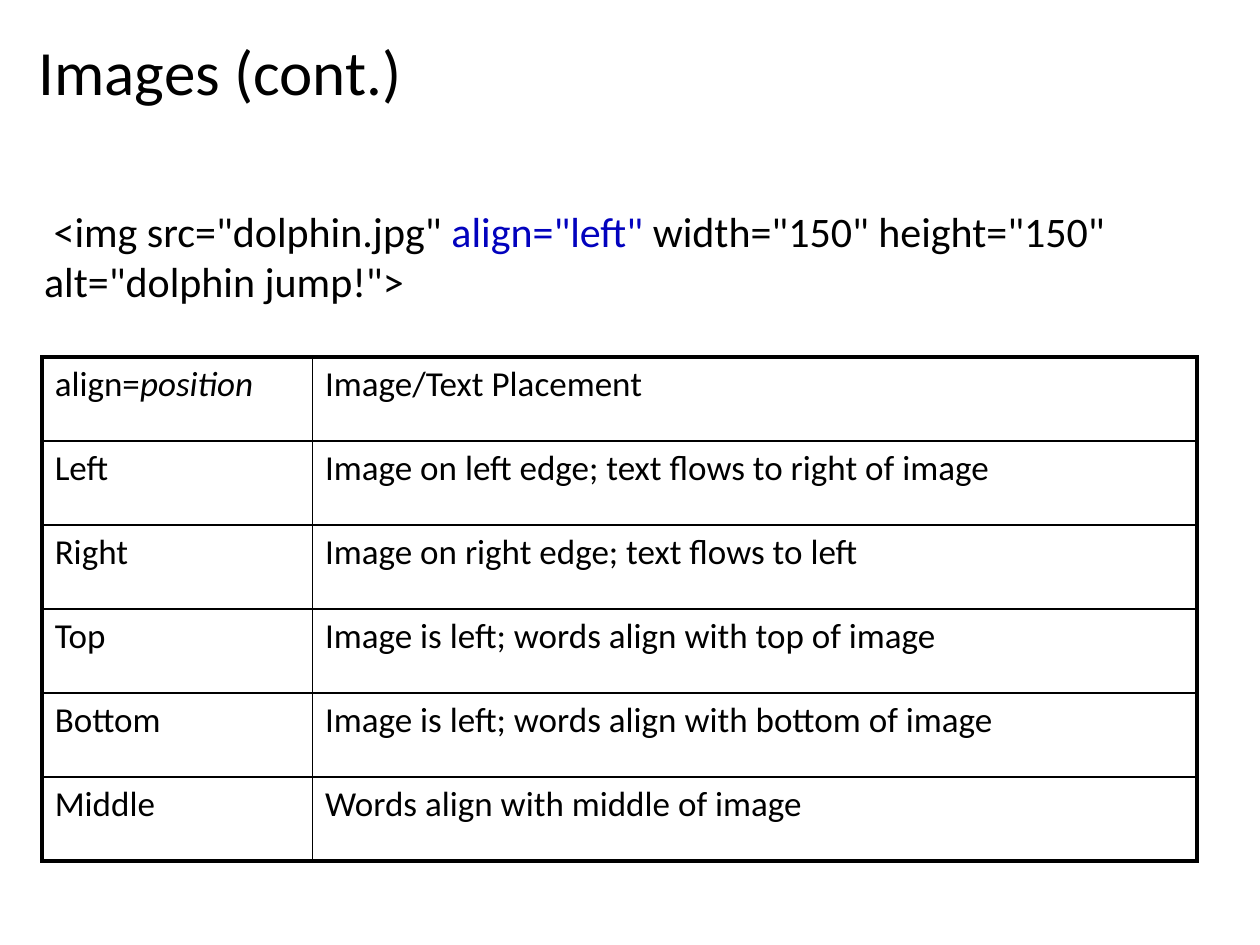
from lxml import etree
from pptx import Presentation
from pptx.dml.color import RGBColor
from pptx.enum import text
from pptx.oxml import ns
from pptx.util import Cm, Pt

COLORS = {"ink": "000000", "highlight": "0202BE"}
FONT = "Calibri"
OUTER, INNER = 2.25, 1
PLACEMENTS = [
    ("Left", "Image on left edge; text flows to right of image"),
    ("Right", "Image on right edge; text flows to left"),
    ("Top", "Image is left; words align with top of image"),
    ("Bottom", "Image is left; words align with bottom of image"),
    ("Middle", "Words align with middle of image"),
]


def write_runs(frame, pieces, size):
    paragraph = frame.paragraphs[0]
    for wording, color, italic in pieces:
        run = paragraph.add_run()
        run.text = wording
        run.font.name = FONT
        run.font.size = Pt(size)
        run.font.italic = italic
        run.font.color.rgb = RGBColor.from_string(COLORS[color])


def add_text(slide, place, pieces, size, anchor=text.MSO_ANCHOR.TOP):
    frame = slide.shapes.add_textbox(*map(Cm, place)).text_frame
    frame.word_wrap = True
    frame.vertical_anchor = anchor
    write_runs(frame, pieces, size)


def set_borders(cell, widths):
    properties = cell._tc.get_or_add_tcPr()
    for position, (side, width) in enumerate(widths.items()):
        line = etree.Element(ns.qn(f"a:ln{side}"), w=str(int(Pt(width))))
        fill = etree.SubElement(line, ns.qn("a:solidFill"))
        etree.SubElement(fill, ns.qn("a:srgbClr"), val=COLORS["ink"])
        properties.insert(position, line)


def add_placement_table(slide, place, column_widths, rows):
    table = slide.shapes.add_table(len(rows), len(column_widths), *map(Cm, place)).table
    table.first_row = table.horz_banding = False
    for column, width in zip(table.columns, column_widths):
        column.width = Cm(width)
    last_row, last_column = len(rows) - 1, len(column_widths) - 1
    for r, row in enumerate(rows):
        for c, pieces in enumerate(row):
            cell = table.cell(r, c)
            cell.fill.background()
            write_runs(cell.text_frame, pieces, 20)
            edges = {"L": c == 0, "R": c == last_column, "T": r == 0, "B": r == last_row}
            set_borders(cell, {side: OUTER if edge else INNER for side, edge in edges.items()})


def main():
    deck = Presentation()
    deck.slide_width, deck.slide_height = Cm(25.4), Cm(19.05)
    slide = deck.slides.add_slide(deck.slide_layouts[6])

    add_text(slide, (0.53, 0.3, 24.33, 2.24), [("Images (cont.)", "ink", False)],
             36, text.MSO_ANCHOR.MIDDLE)

    header = [
        [("align=", "ink", False), ("position", "ink", True)],
        [("Image/Text Placement", "ink", False)],
    ]
    body = [[[(wording, "ink", False)] for wording in row] for row in PLACEMENTS]
    add_placement_table(slide, (0.85, 7.2, 23.28, 10.16), (5.45, 17.83), [header, *body])

    img_tag = [
        (' <img src="dolphin.jpg" ', "ink", False),
        ('align="left"', "highlight", False),
        (' width="150" height="150" alt="dolphin jump!">', "ink", False),
    ]
    add_text(slide, (0.64, 4.02, 23.5, 2.31), img_tag, 24)

    deck.save("out.pptx")


main()
